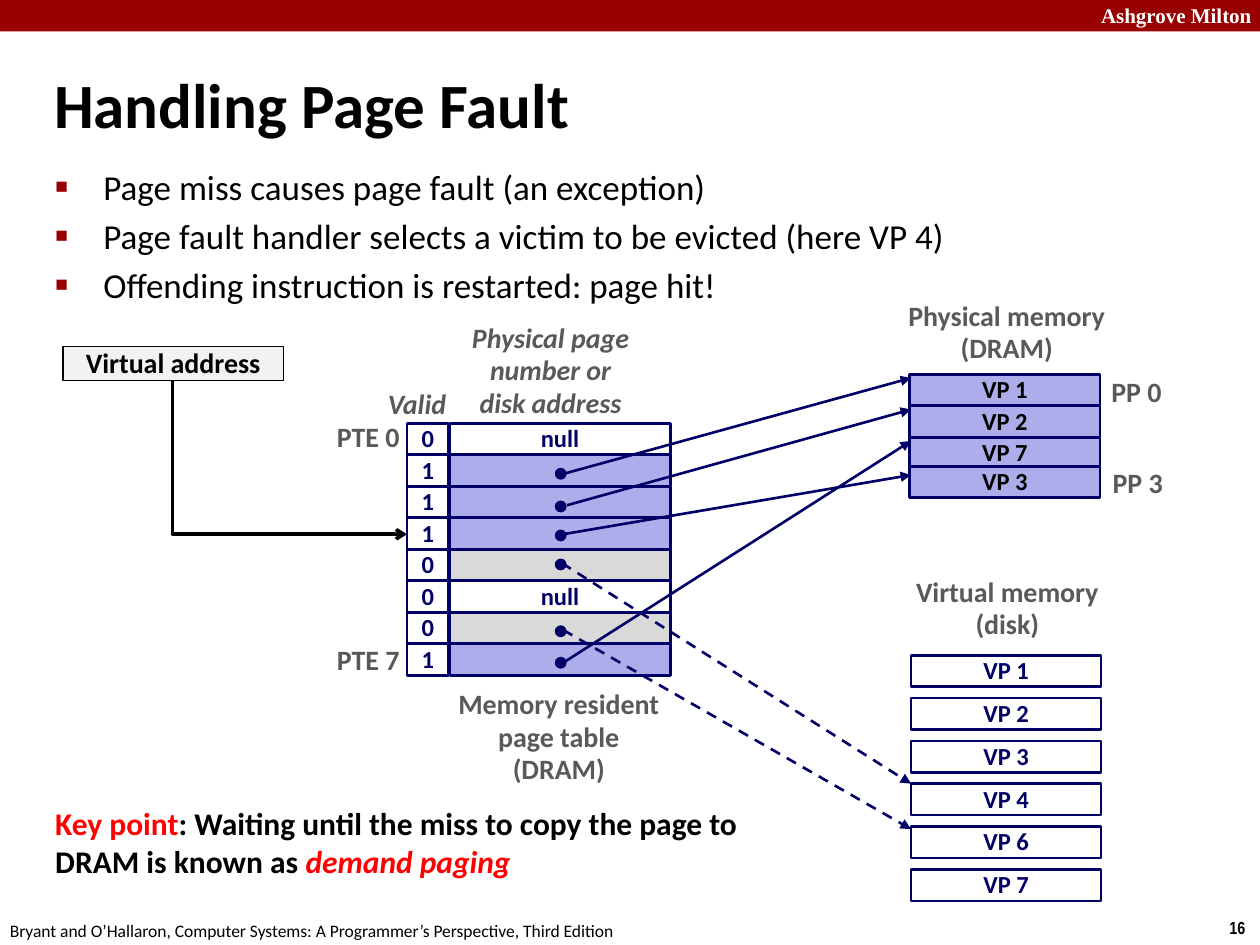
from dataclasses import dataclass
from typing import Optional

from lxml.etree import SubElement
from pptx import Presentation
from pptx.dml.color import RGBColor
from pptx.enum.dml import MSO_LINE
from pptx.enum.shapes import MSO_CONNECTOR, MSO_SHAPE
from pptx.enum.text import MSO_ANCHOR, MSO_AUTO_SIZE, PP_ALIGN
from pptx.oxml.ns import qn
from pptx.util import Inches, Pt

COLORS = {
    "band": "990000", "white": "FFFFFF", "black": "000000", "navy": "000066",
    "resident": "ADADEB", "on_disk": "D9D9D9", "label": "595959",
    "address": "F2F2F2", "key": "FF0000",
}
ROW_HEIGHT = 0.25
TABLE_TOP = 3.36
PAGE_WIDTH = 1.51


@dataclass
class Label:
    lines: list[str]
    at: tuple[float, float, float, float]
    color: str = "label"
    size: float = 16
    bold: bool = True
    italic: bool = False
    align: PP_ALIGN = PP_ALIGN.CENTER
    anchor: MSO_ANCHOR = MSO_ANCHOR.TOP
    font: str = "Calibri"
    spacing: float = 0.98
    wrap: bool = False


@dataclass
class Entry:
    valid: str
    fill: str
    text: str = ""
    dot: Optional[float] = None


@dataclass
class Arrow:
    start: tuple[float, float]
    end: tuple[float, float]
    dashed: bool = False


def rgb(name: str) -> RGBColor:
    return RGBColor.from_string(COLORS[name])


def format_span(span, color: str, size: float, bold=True, italic=False, name="Calibri") -> None:
    values = {"size": Pt(size), "bold": bold, "italic": italic, "name": name}
    for attribute, value in values.items():
        setattr(span.font, attribute, value)
    span.font.color.rgb = rgb(color)


def format_frame(frame, wrap: bool, anchor: MSO_ANCHOR) -> None:
    values = {"auto_size": MSO_AUTO_SIZE.NONE, "word_wrap": wrap, "vertical_anchor": anchor}
    for attribute, value in values.items():
        setattr(frame, attribute, value)


def place(shape, at: tuple[float, float, float, float]) -> None:
    for attribute, value in zip(("left", "top", "width", "height"), at):
        setattr(shape, attribute, Inches(value))


def add_label(page, label: Label) -> None:
    box = page.shapes.add_textbox(*map(Inches, label.at))
    format_frame(box.text_frame, label.wrap, label.anchor)
    for index, line in enumerate(label.lines):
        para = box.text_frame.paragraphs[0] if index == 0 else box.text_frame.add_paragraph()
        para.alignment, para.line_spacing = label.align, label.spacing
        span = para.add_run()
        span.text = line
        format_span(span, label.color, label.size, label.bold, label.italic, label.font)


def add_box(page, at, fill: Optional[str], line: Optional[str] = "navy", text="",
            color="navy", size=14, width=1.5, kind=MSO_SHAPE.RECTANGLE) -> None:
    box = page.shapes.add_shape(kind, *map(Inches, at))
    box.shadow.inherit = False
    if fill:
        box.fill.solid()
        box.fill.fore_color.rgb = rgb(fill)
    else:
        box.fill.background()
    if line:
        box.line.color.rgb, box.line.width = rgb(line), Pt(width)
    else:
        box.line.fill.background()
    if text:
        format_frame(box.text_frame, False, MSO_ANCHOR.MIDDLE)
        para = box.text_frame.paragraphs[0]
        para.alignment, para.line_spacing = PP_ALIGN.CENTER, 0.98
        span = para.add_run()
        span.text = text
        format_span(span, color, size)


def add_arrow(page, arrow: Arrow, kind=MSO_CONNECTOR.STRAIGHT,
              color="navy", width=1.5, head="triangle"):
    line = page.shapes.add_connector(kind, *map(Inches, arrow.start + arrow.end))
    line.line.color.rgb, line.line.width = rgb(color), Pt(width)
    if arrow.dashed:
        line.line.dash_style = MSO_LINE.DASH
    properties = line._element.spPr
    SubElement(properties.find(qn("a:ln")), qn("a:tailEnd"), type=head)
    SubElement(properties, qn("a:effectLst"))
    return line


def add_bullet(para) -> None:
    properties = para._p.get_or_add_pPr()
    properties.set("marL", str(Inches(0.38)))
    properties.set("indent", str(-Inches(0.38)))
    color = SubElement(properties, qn("a:buClr"))
    SubElement(color, qn("a:srgbClr"), val=COLORS["band"])
    SubElement(properties, qn("a:buSzPct"), val="60000")
    SubElement(properties, qn("a:buChar"), char="■")


deck = Presentation()
deck.slide_width, deck.slide_height = Inches(10), Inches(7.5)
page = deck.slides.add_slide(deck.slide_layouts[1])

# Header band and footer
add_box(page, (0, 0, 10, 0.25), "band", line=None)
for label in (
    Label(["Ashgrove Milton"], (8.64, -0.03, 1.43, 0.3), "white", 12,
          align=PP_ALIGN.LEFT, font="Times New Roman", spacing=1, wrap=True),
    Label(["16"], (9.66, 7.23, 0.34, 0.27), "black", 10,
          align=PP_ALIGN.LEFT, font="Arial Narrow", spacing=1),
    Label(["Bryant and O’Hallaron, Computer Systems: A Programmer’s Perspective, Third Edition"],
          (-0.02, 7.25, 5.08, 0.27), "black", 10, bold=False, align=PP_ALIGN.LEFT, spacing=1),
):
    add_label(page, label)

# Title and bullets
title, body = page.shapes.title, page.placeholders[1]
place(title, (0.33, 0.39, 9.06, 0.86))
format_frame(title.text_frame, True, MSO_ANCHOR.MIDDLE)
title.text_frame.text = "Handling Page Fault"
title.text_frame.paragraphs[0].alignment = PP_ALIGN.LEFT
format_span(title.text_frame.paragraphs[0].runs[0], "black", 36)

place(body, (0.34, 1.26, 9.09, 0.83))
format_frame(body.text_frame, True, MSO_ANCHOR.TOP)
body.text_frame.text = "\n".join((
    "Page miss causes page fault (an exception)",
    "Page fault handler selects a victim to be evicted (here VP 4)",
    "Offending instruction is restarted: page hit!",
))
for para in body.text_frame.paragraphs:
    para.space_before = Pt(4)
    add_bullet(para)
    format_span(para.runs[0], "black", 20, bold=False)

# Page table
entries = [
    Entry("0", "white", "null"), Entry("1", "resident", dot=3.72),
    Entry("1", "resident", dot=3.98), Entry("1", "resident", dot=4.21),
    Entry("0", "on_disk", dot=4.44), Entry("0", "white", "null"),
    Entry("0", "on_disk", dot=4.97), Entry("1", "resident", dot=5.22),
]
for row, entry in enumerate(entries):
    top = TABLE_TOP + row * ROW_HEIGHT
    add_box(page, (3.57, top, 1.75, ROW_HEIGHT), entry.fill, text=entry.text)
    add_box(page, (3.23, top, 0.33, ROW_HEIGHT), None, text=entry.valid)

# Physical and virtual memory
for name, top in (("VP 1", 2.97), ("VP 2", 3.22), ("VP 7", 3.47), ("VP 3", 3.7)):
    add_box(page, (7.22, top, PAGE_WIDTH, ROW_HEIGHT), "resident", text=name, color="black")
for index, number in enumerate((1, 2, 3, 4, 6, 7)):
    add_box(page, (7.23, 5.2 + index * 0.34, PAGE_WIDTH, ROW_HEIGHT), "white", text=f"VP {number}")

# Labels
for label in (
    Label(["Memory resident", "page table", "(DRAM)"], (3.51, 5.41, 1.85, 0.89)),
    Label(["Physical memory", "(DRAM)"], (7.1, 2.33, 1.78, 0.63)),
    Label(["Virtual memory", "(disk)"], (7.15, 4.52, 1.69, 0.63)),
    Label(["Valid"], (2.98, 3.03, 0.75, 0.37), italic=True, align=PP_ALIGN.LEFT),
    Label(["Physical page", "number or", "disk address"], (3.64, 2.5, 1.46, 0.89),
          italic=True, anchor=MSO_ANCHOR.MIDDLE),
    Label(["PTE 0"], (2.57, 3.29, 0.7, 0.37), align=PP_ALIGN.RIGHT, anchor=MSO_ANCHOR.MIDDLE),
    Label(["PTE 7"], (2.57, 5.06, 0.7, 0.37), align=PP_ALIGN.RIGHT, anchor=MSO_ANCHOR.MIDDLE),
    Label(["PP 0"], (8.72, 2.93, 0.6, 0.37), anchor=MSO_ANCHOR.MIDDLE),
    Label(["PP 3"], (8.73, 3.65, 0.6, 0.37), anchor=MSO_ANCHOR.MIDDLE),
):
    add_label(page, label)

# Pointers from entries to pages
for arrow in (
    Arrow((4.44, 3.77), (7.23, 3)), Arrow((4.5, 4.01), (7.23, 3.25)),
    Arrow((4.47, 4.24), (7.23, 3.77)), Arrow((4.46, 4.47), (7.23, 6.22), dashed=True),
    Arrow((4.47, 5), (7.23, 6.58), dashed=True), Arrow((4.47, 5.26), (7.23, 3.5)),
):
    add_arrow(page, arrow)
for entry in entries:
    if entry.dot:
        add_box(page, (4.41, entry.dot, 0.08, 0.08), "navy", width=1, kind=MSO_SHAPE.OVAL)

# Virtual address and its bent arrow
add_box(page, (0.5, 2.75, 1.75, 0.27), "address", "black", "Virtual address", "black", 16, 1)
bend = add_arrow(page, Arrow((1.69, 2.7), (2.91, 4.56)), MSO_CONNECTOR.ELBOW, "black", 2, "arrow")
bend._element.spPr.find(qn("a:prstGeom")).set("prst", "bentConnector2")
frame = bend._element.spPr.find(qn("a:xfrm"))
for attribute, value in {"rot": "16200000", "flipH": "1"}.items():
    frame.set(attribute, value)

# Key point
box = page.shapes.add_textbox(*map(Inches, (0.34, 6.33, 6.33, 0.71)))
format_frame(box.text_frame, True, MSO_ANCHOR.TOP)
for text, color, italic in (
    ("Key point", "key", False),
    (": Waiting until the miss to copy the page to DRAM is known as ", "black", False),
    ("demand paging", "key", True),
):
    span = box.text_frame.paragraphs[0].add_run()
    span.text = text
    format_span(span, color, 18, italic=italic)

deck.save("out.pptx")
